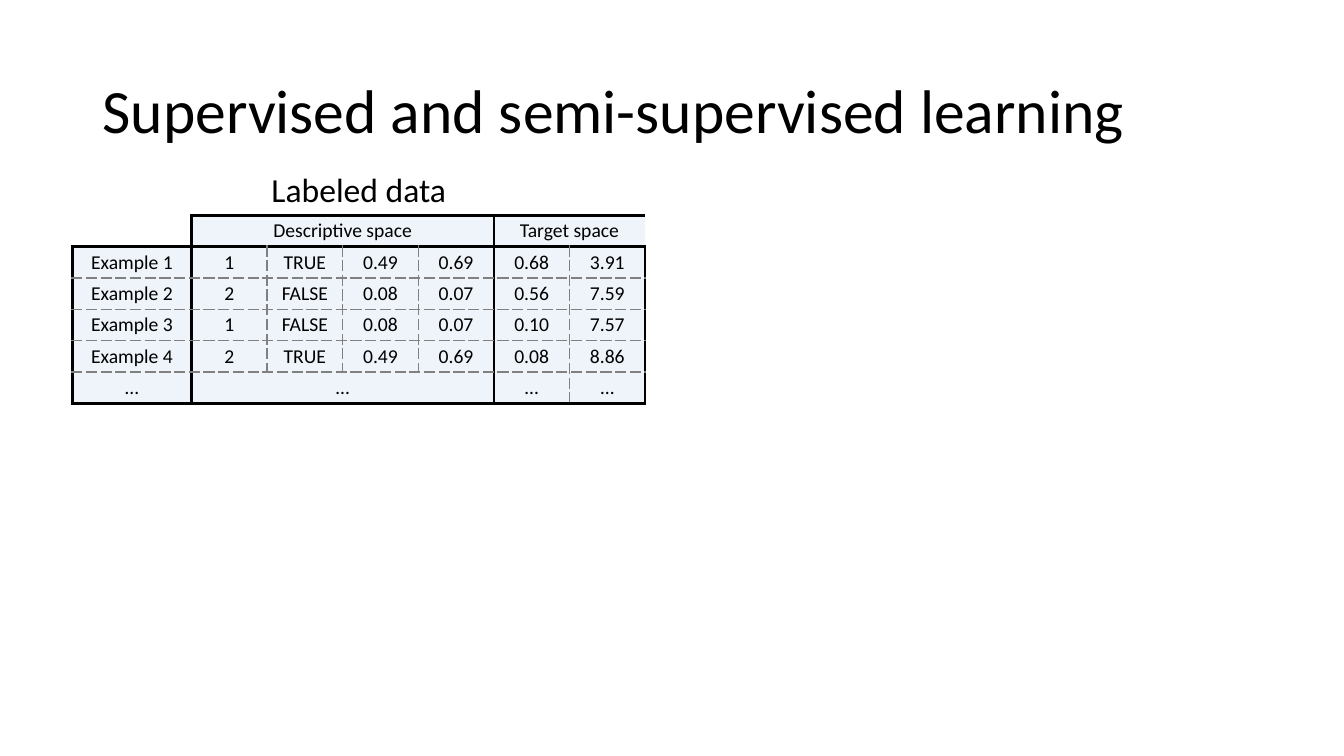
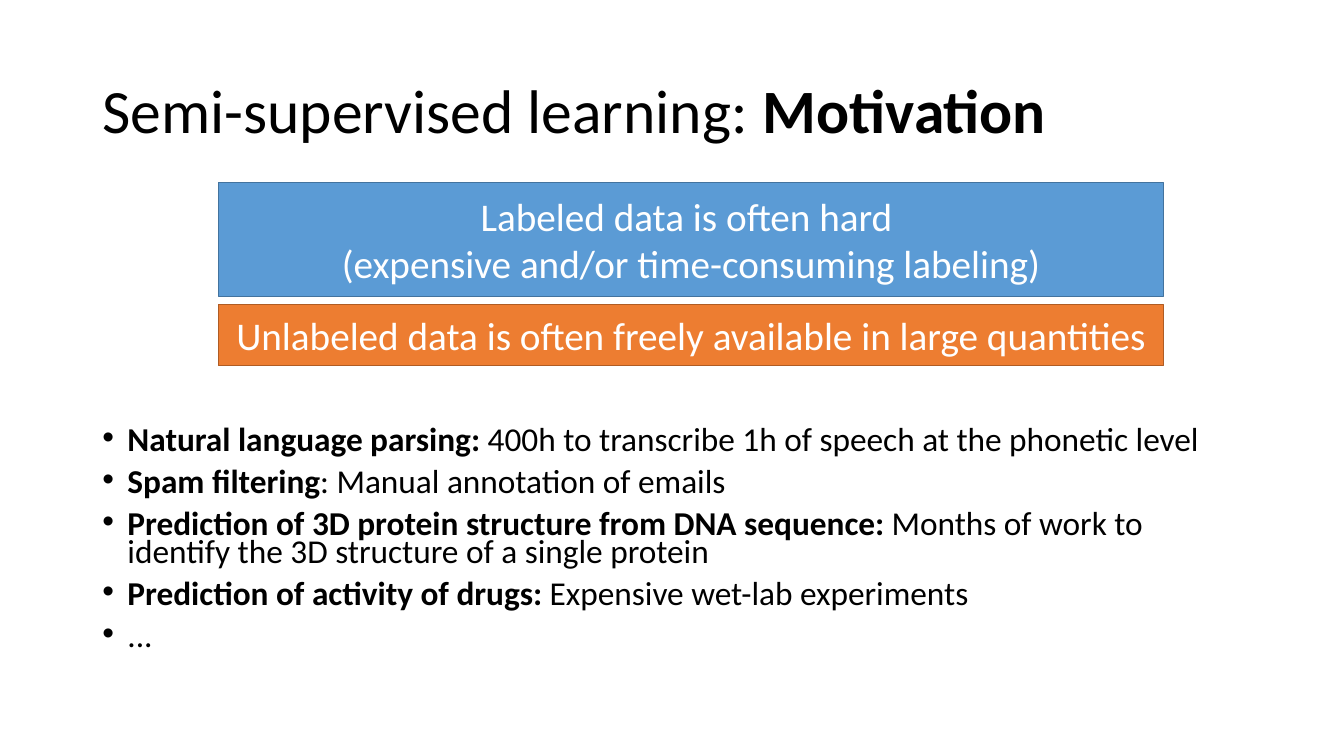
import dataclasses

import lxml.etree
import pptx
import pptx.dml.color
import pptx.enum.shapes
import pptx.enum.text
import pptx.oxml.ns
import pptx.util

Pt = pptx.util.Pt
ALIGN = pptx.enum.text.PP_ALIGN
ANCHOR = pptx.enum.text.MSO_ANCHOR


@dataclasses.dataclass(frozen=True)
class Theme:
    font: str = "Calibri"
    black: str = "000000"
    white: str = "FFFFFF"
    grey: str = "808080"
    blue: str = "5B9BD5"
    blue_line: str = "43739E"
    orange: str = "ED7D31"
    orange_line: str = "AF5C24"
    title_size: float = 44
    banner_size: float = 28
    caption_size: float = 24
    body_size: float = 23.8
    cell_size: float = 14


THEME = Theme()
SOLID = (THEME.black, 2.25, "solid")
DASHED = (THEME.grey, 1, "sysDash")

DATA_ROWS = [
    ["Labeled data"] + [""] * 6,
    ["", "Descriptive space", "", "", "", "Target space", ""],
    ["Example 1", "1", "TRUE", "0.49", "0.69", "0.68", "3.91"],
    ["Example 2", "2", "FALSE", "0.08", "0.07", "0.56", "7.59"],
    ["Example 3", "1", "FALSE", "0.08", "0.07", "0.10", "7.57"],
    ["Example 4", "2", "TRUE", "0.49", "0.69", "0.08", "8.86"],
    ["…", "…", "", "", "", "…", "…"],
]
MERGES = [(0, 0, 6), (1, 1, 4), (1, 5, 6), (6, 1, 4)]

MOTIVATIONS = [
    [("Natural language parsing: ", True), ("400h to transcribe 1h of speech at the phonetic level", False)],
    [("Spam filtering", True), (": Manual annotation of emails", False)],
    [("Prediction of 3D protein structure from DNA sequence: ", True),
     ("Months of work to identify the 3D structure of a single protein", False)],
    [("Prediction of activity of drugs:", True), (" Expensive wet-lab experiments", False)],
    [("...", False)],
]


def color(code):
    return pptx.dml.color.RGBColor.from_string(code)


def add_element(parent, tag, **attributes):
    return lxml.etree.SubElement(parent, pptx.oxml.ns.qn(tag), **attributes)


def add_bullet(para, indent):
    properties = para._p.get_or_add_pPr()
    properties.set("marL", str(Pt(indent)))
    properties.set("indent", str(-Pt(indent)))
    add_element(properties, "a:buFont", typeface="Arial")
    add_element(properties, "a:buChar", char="•")


def write_text(frame, paragraphs, size, ink=THEME.black, align=ALIGN.LEFT, anchor=ANCHOR.MIDDLE,
               line_spacing=None, gap=0, bullet_indent=None):
    frame.word_wrap = True
    frame.vertical_anchor = anchor
    for number, spans in enumerate(paragraphs):
        para = frame.add_paragraph() if number else frame.paragraphs[0]
        if bullet_indent:
            add_bullet(para, bullet_indent)
        para.alignment = align
        if line_spacing:
            para.line_spacing = line_spacing
        if number and gap:
            para.space_before = Pt(gap)
        for text, bold in spans:
            span = para.add_run()
            span.text = text
            span.font.name = THEME.font
            span.font.size = Pt(size)
            span.font.bold = bold
            span.font.color.rgb = color(ink)


def add_titled_slide(deck, spans):
    slide = deck.slides.add_slide(deck.slide_layouts[5])
    title = slide.shapes.title
    title.left, title.top, title.width, title.height = Pt(66), Pt(28.8), Pt(828), Pt(104.4)
    title.text_frame.auto_size = pptx.enum.text.MSO_AUTO_SIZE.NONE
    write_text(title.text_frame, [spans], size=THEME.title_size, line_spacing=0.9)
    return slide


def horizontal_border(edge, column):
    if edge == 0 or (edge == 1 and column == 0):
        return None
    return SOLID if edge in (1, 2, 7) else DASHED


def vertical_border(edge, row):
    if row == 0 or (row == 1 and edge == 0):
        return None
    if edge in (0, 1, 5, 7):
        return SOLID
    inside_merge = row == 1 or (row == 6 and edge < 5)
    return None if inside_merge else DASHED


def set_borders(cell, row, column):
    borders = [
        ("a:lnL", vertical_border(column, row)),
        ("a:lnR", vertical_border(column + 1, row)),
        ("a:lnT", horizontal_border(row, column)),
        ("a:lnB", horizontal_border(row + 1, column)),
    ]
    properties = cell._tc.get_or_add_tcPr()
    for position, (tag, border) in enumerate(borders):
        line = add_element(properties, tag)
        properties.insert(position, line)
        if border is None:
            add_element(line, "a:noFill")
            continue
        ink, width, dash = border
        line.set("w", str(Pt(width)))
        add_element(add_element(line, "a:solidFill"), "a:srgbClr", val=ink)
        add_element(line, "a:prstDash", val=dash)


def fill_cell(cell, tinted):
    if not tinted:
        cell.fill.background()
        return
    cell.fill.solid()
    cell.fill.fore_color.rgb = color(THEME.blue)
    tint = cell._tc.tcPr.find(".//" + pptx.oxml.ns.qn("a:solidFill") + "[last()]/" + pptx.oxml.ns.qn("a:srgbClr"))
    add_element(tint, "a:alpha", val="10000")


def format_cell(cell, text, row, column):
    size = THEME.caption_size if row == 0 else THEME.cell_size
    cell.margin_left = cell.margin_right = Pt(1)
    cell.margin_top = cell.margin_bottom = Pt(2.5)
    cell.vertical_anchor = ANCHOR.MIDDLE
    fill_cell(cell, tinted=row > 1 or (row == 1 and column > 0))
    set_borders(cell, row, column)
    if text:
        write_text(cell.text_frame, [[(text, False)]], size=size, align=ALIGN.CENTER)
    else:
        add_element(cell.text_frame.paragraphs[0]._p, "a:endParaRPr", sz=str(size * 100))


def add_data_table(slide, left, top, column_widths, row_heights):
    frame = slide.shapes.add_table(len(row_heights), len(column_widths), Pt(left), Pt(top),
                                   Pt(sum(column_widths)), Pt(sum(row_heights)))
    table = frame.table
    table.first_row = table.horz_banding = False
    for column, width in zip(table.columns, column_widths):
        column.width = Pt(width)
    for row, height in zip(table.rows, row_heights):
        row.height = Pt(height)
    for row, texts in enumerate(DATA_ROWS):
        for column, text in enumerate(texts):
            format_cell(table.cell(row, column), text, row, column)
    for row, first, last in MERGES:
        table.cell(row, first).merge(table.cell(row, last))


def add_banner(slide, top, height, lines, fill, outline):
    box = slide.shapes.add_shape(pptx.enum.shapes.MSO_SHAPE.RECTANGLE, Pt(156), Pt(top), Pt(675), Pt(height))
    box.shadow.inherit = False
    box.fill.solid()
    box.fill.fore_color.rgb = color(fill)
    box.line.color.rgb = color(outline)
    box.line.width = Pt(1)
    write_text(box.text_frame, [[(line, False)] for line in lines], size=THEME.banner_size,
               ink=THEME.white, align=ALIGN.CENTER)


def add_bullet_list(slide, left, top, width, height, items):
    box = slide.shapes.add_textbox(Pt(left), Pt(top), Pt(width), Pt(height))
    write_text(box.text_frame, items, size=THEME.body_size, anchor=ANCHOR.TOP,
               line_spacing=0.7, gap=10, bullet_indent=18)


def main():
    deck = pptx.Presentation()
    deck.slide_width, deck.slide_height = Pt(960), Pt(540)

    learning = add_titled_slide(deck, [("Supervised and semi-supervised learning", False)])
    add_data_table(learning, 51.8, 119.5, [85] + [54] * 6, [34.3] + [22.4] * 6)

    motivation = add_titled_slide(deck, [("Semi-supervised learning: ", False), ("Motivation", True)])
    add_bullet_list(motivation, 66, 303, 828, 184, MOTIVATIONS)
    add_banner(motivation, 130.3, 81.4, ["Labeled data is often hard ", "(expensive and/or time-consuming labeling)"],
               THEME.blue, THEME.blue_line)
    add_banner(motivation, 217.4, 43.9, ["Unlabeled data is often freely available in large quantities"],
               THEME.orange, THEME.orange_line)

    deck.save("out.pptx")


if __name__ == "__main__":
    main()
